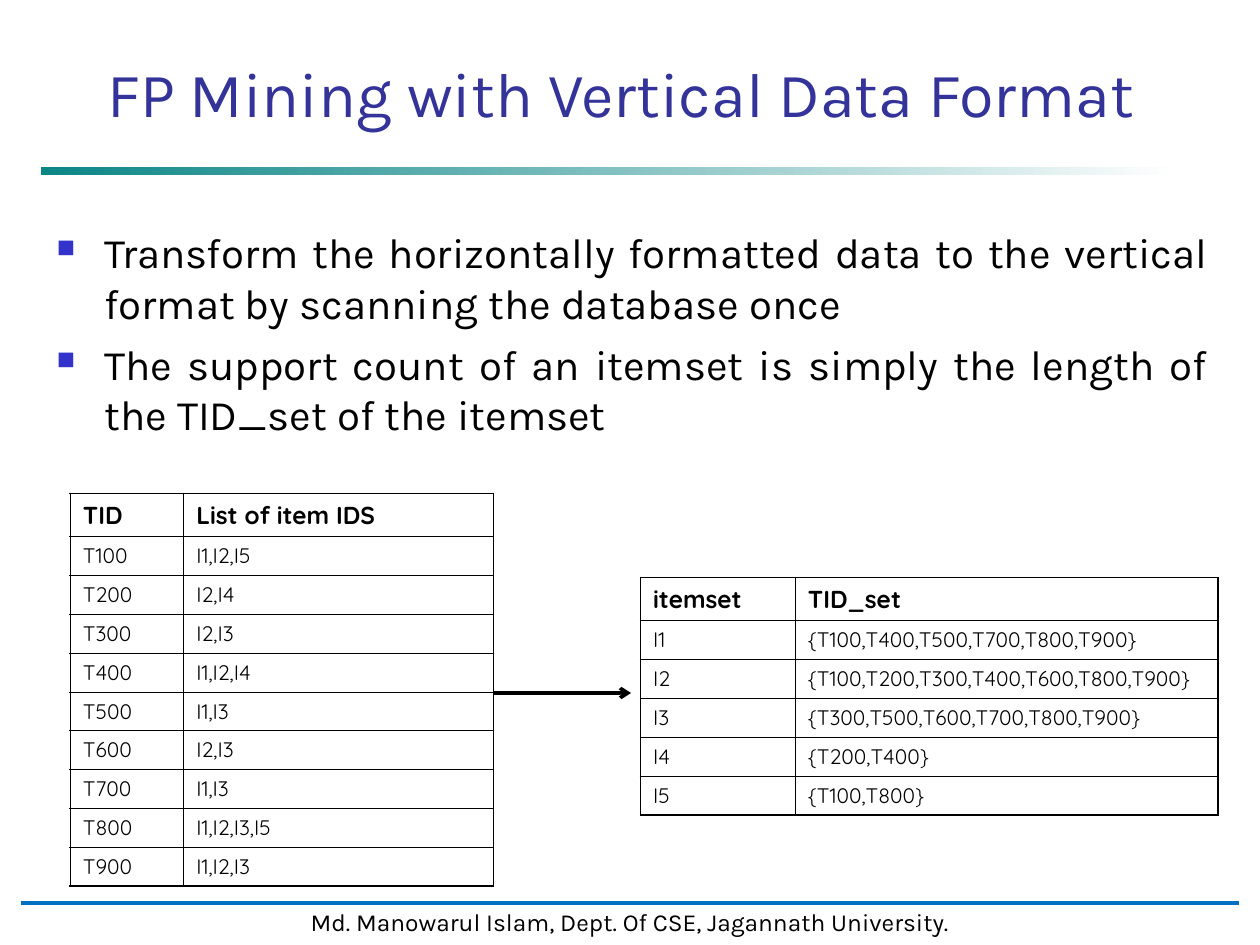
from lxml import etree
from pptx import Presentation, util as u
from pptx.dml.color import RGBColor
from pptx.enum import shapes, text
from pptx.oxml import ns

COLS, ROWS = 120, 90
CELL = u.Inches(10) // COLS
THIN, THICK = 0.45, 1.08
BODY = [
    "Transform the horizontally formatted data to the vertical format by scanning the database once",
    "The support count of an itemset is simply the length of the TID_set of the itemset",
]
TRANSACTIONS = [
    ("TID", "List of item IDS"),
    ("T100", "I1,I2,I5"),
    ("T200", "I2,I4"),
    ("T300", "I2,I3"),
    ("T400", "I1,I2,I4"),
    ("T500", "I1,I3"),
    ("T600", "I2,I3"),
    ("T700", "I1,I3"),
    ("T800", "I1,I2,I3,I5"),
    ("T900", "I1,I2,I3"),
]
ITEMSETS = [
    ("itemset", "TID_set"),
    ("I1", "{T100,T400,T500,T700,T800,T900}"),
    ("I2", "{T100,T200,T300,T400,T600,T800,T900}"),
    ("I3", "{T300,T500,T600,T700,T800,T900}"),
    ("I4", "{T200,T400}"),
    ("I5", "{T100,T800}"),
]


def grid(*cells):
    """Turn grid units into slide lengths."""
    return [u.Emu(round(c * CELL)) for c in cells]


def paint(color, value):
    """Set a colour format from a hex string."""
    color.rgb = RGBColor.from_string(value)


def child(parent, tag, **attrs):
    """Append a drawing element with attributes."""
    return etree.SubElement(parent, ns.qn(tag), attrs)


def style(p, size, color="000000", name="Karla", bold=False, align=text.PP_ALIGN.LEFT):
    """Format a paragraph."""
    p.alignment = align
    for key, value in {"size": u.Pt(size), "name": name, "bold": bold}.items():
        setattr(p.font, key, value)
    paint(p.font.color, color)


def add_title(s, words, *box):
    """Fill and place the title placeholder."""
    sp = s.shapes.title
    sp.left, sp.top, sp.width, sp.height = grid(*box)
    tf = sp.text_frame
    tf.text = words
    tf.auto_size = text.MSO_AUTO_SIZE.NONE
    tf.vertical_anchor = text.MSO_ANCHOR.BOTTOM
    style(tf.paragraphs[0], 36, "333399", align=text.PP_ALIGN.CENTER)


def add_rect(s, *box):
    """Add a rectangle without a shadow."""
    sp = s.shapes.add_shape(shapes.MSO_SHAPE.RECTANGLE, *grid(*box))
    sp.shadow.inherit = False
    return sp


def add_bar(s, *box):
    """Add the fading bar under the title."""
    sp = add_rect(s, *box)
    sp.line.fill.background()
    sp.fill.gradient()
    sp.fill.gradient_angle = 0
    for stop, color in zip(sp.fill.gradient_stops, ("008080", "FFFFFF")):
        paint(stop.color, color)
    start = next(sp.element.iter(ns.qn("a:srgbClr")))
    child(start, "a:alpha", val="95000")


def add_footer(s, words, *box):
    """Add the white footer strip with its text."""
    sp = add_rect(s, *box)
    sp.fill.solid()
    paint(sp.fill.fore_color, "FFFFFF")
    paint(sp.line.color, "FFFFFF")
    sp.line.width = u.Pt(2)
    tf = sp.text_frame
    tf.word_wrap = False
    tf.text = words
    style(tf.paragraphs[0], 14, align=text.PP_ALIGN.CENTER)


def add_line(s, x1, x2, y, color, width, arrow=False):
    """Add a horizontal line, with an arrowhead if wanted."""
    c = s.shapes.add_connector(shapes.MSO_CONNECTOR.STRAIGHT, *grid(x1, y, x2, y))
    paint(c.line.color, color)
    c.line.width = u.Pt(width)
    if arrow:
        child(c.line._get_or_add_ln(), "a:tailEnd", type="arrow")
    child(c.element.spPr, "a:effectLst")


def add_bullets(s, items, *box):
    """Add the justified bullet text."""
    tf = s.shapes.add_textbox(*grid(*box)).text_frame
    tf.word_wrap = True
    for i, item in enumerate(items):
        p = tf.paragraphs[0] if i == 0 else tf.add_paragraph()
        p.text = item
        p.space_before = u.Pt(6 if i else 0)
        pPr = p._p.get_or_add_pPr()
        indent = u.Inches(0.38)
        pPr.set("marL", str(indent))
        pPr.set("indent", str(-indent))
        child(child(pPr, "a:buClr"), "a:srgbClr", val="3333CC")
        child(pPr, "a:buSzPct", val="60000")
        child(pPr, "a:buChar", char="■")
        style(p, 24, align=text.PP_ALIGN.JUSTIFY)


def set_borders(cell, widths):
    """Draw the left, right, top and bottom borders of a cell."""
    tcPr = cell._tc.get_or_add_tcPr()
    for i, (side, width) in enumerate(zip("LRTB", widths)):
        ln = child(tcPr, f"a:ln{side}", w=str(u.Pt(width)))
        child(child(ln, "a:solidFill"), "a:srgbClr", val="000000")
        tcPr.insert(i, ln)


def add_grid_table(s, rows, left, top, widths, head=4.1, step=3.7):
    """Add a ruled table with a bold heading row."""
    last, end = len(rows) - 1, len(widths) - 1
    box = grid(left, top, sum(widths), head + step * last)
    table = s.shapes.add_table(len(rows), len(widths), *box).table
    table.first_row = table.horz_banding = False
    for col, width in zip(table.columns, grid(*widths)):
        col.width = width
    for r, row in enumerate(rows):
        table.rows[r].height = grid(step if r else head)[0]
        for c, words in enumerate(row):
            cell = table.cell(r, c)
            cell.text = words
            cell.fill.background()
            style(cell.text_frame.paragraphs[0], 12 if r else 14, name="Quicksand", bold=r == 0)
            outer = (c == 0, c == end, r == 0, r == last)
            set_borders(cell, [THICK if edge else THIN for edge in outer])


def main():
    """Build the slide."""
    prs = Presentation()
    prs.slide_width, prs.slide_height = grid(COLS, ROWS)
    s = prs.slides.add_slide(prs.slide_layouts[5])
    add_bar(s, 4, 16, 108, 0.65)
    add_footer(s, "Md. Manowarul Islam, Dept. Of CSE, Jagannath University.", 2, 85.8, 116, 4)
    add_line(s, 2, 118, 86, "0070C0", 1.75)
    add_bullets(s, BODY, 4.2, 21, 112, 69)
    add_grid_table(s, TRANSACTIONS, 6.7, 47, (10.8, 29.5))
    add_line(s, 47, 60.1, 66, "000000", 2, arrow=True)
    add_grid_table(s, ITEMSETS, 61, 55, (14.75, 40.25))
    add_title(s, "FP Mining with Vertical Data Format", 8, 5, 102.25, 8)
    prs.save("out.pptx")


if __name__ == "__main__":
    main()
